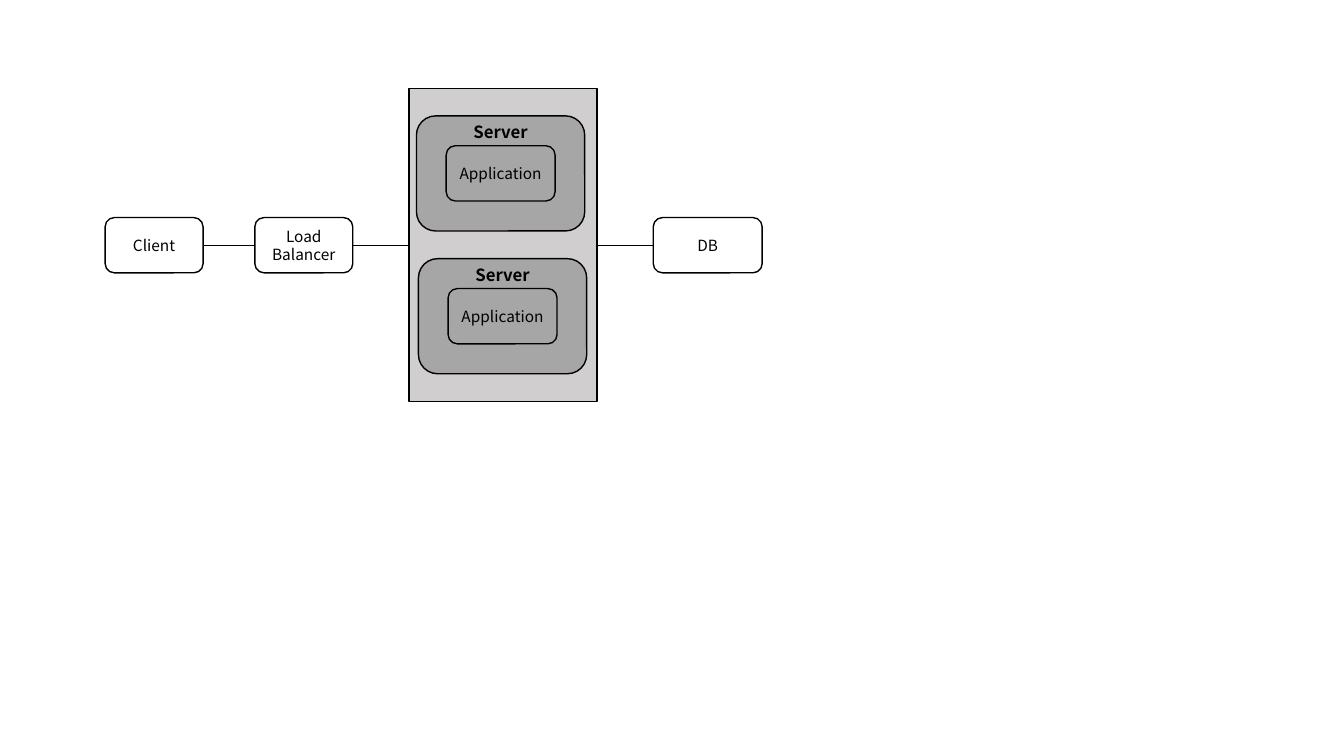
from pptx import Presentation
from pptx.dml.color import RGBColor
from pptx.enum.shapes import MSO_CONNECTOR, MSO_SHAPE
from pptx.enum.text import MSO_ANCHOR, PP_ALIGN
from pptx.oxml import parse_xml
from pptx.oxml.ns import nsdecls
from pptx.util import Pt

BLACK, PANEL_GREY, SERVER_GREY = "000000", "D0CECE", "A6A6A6"
LABEL = {"name": "Noto Sans CJK KR", "size": Pt(11), "bold": False}
HEADING = {**LABEL, "size": Pt(12), "bold": True}

# Boxes in points: left, top, width, height
CLIENT = (75.1, 155.4, 70, 39.5)
BALANCER = (182, 155.4, 70, 39.5)
PANEL = (292.2, 63.3, 134.4, 223.4)
DATABASE = (466.6, 155.4, 77.8, 39.5)


def color(value):
    return RGBColor.from_string(value)


def add_box(page, box, kind=MSO_SHAPE.ROUNDED_RECTANGLE, fill=None):
    shape = page.shapes.add_shape(kind, *(Pt(length) for length in box))
    shape.shadow.inherit = False
    if fill:
        shape.fill.solid()
        shape.fill.fore_color.rgb = color(fill)
    else:
        shape.fill.background()
    shape.line.color.rgb = color(BLACK)
    shape.line.width = Pt(1)
    return shape


def write(shape, text, style=LABEL, anchor=MSO_ANCHOR.MIDDLE):
    frame = shape.text_frame
    settings = {"word_wrap": True, "vertical_anchor": anchor,
                "margin_left": Pt(4), "margin_right": Pt(4),
                "margin_top": 0, "margin_bottom": 0}
    for name, value in settings.items():
        setattr(frame, name, value)
    para = frame.paragraphs[0]
    para.alignment = PP_ALIGN.CENTER
    span = para.add_run()
    span.text = text
    for name, value in style.items():
        setattr(span.font, name, value)
    span.font.color.rgb = color(BLACK)


def add_server(page, box):
    left, top, width, height = box
    write(add_box(page, box, fill=SERVER_GREY), "Server", HEADING, MSO_ANCHOR.TOP)
    application = (left + (width - 77.8) / 2, top + 21.3, 77.8, 39.5)
    write(add_box(page, application), "Application")


def add_server_panel(page, box):
    left, top, width, height = box
    add_box(page, box, MSO_SHAPE.RECTANGLE, PANEL_GREY)
    for inset, drop in ((5.3, 19.5), (6.7, 121.5)):
        add_server(page, (left + inset, top + drop, 120.2, 82.2))


def link(page, start, end):
    """Join the right edge of one box to the left edge of the next."""
    middle = Pt(CLIENT[1] + CLIENT[3] / 2)
    line = page.shapes.add_connector(
        MSO_CONNECTOR.STRAIGHT, Pt(start[0] + start[2]), middle, Pt(end[0]), middle)
    line.line.color.rgb = color(BLACK)
    line.line.width = Pt(0.5)
    line._element.spPr.append(parse_xml(f"<a:effectLst {nsdecls('a')}/>"))


def build_architecture(page):
    # Server panel
    add_server_panel(page, PANEL)

    # Single nodes
    for text, box in (("Client", CLIENT), ("Load Balancer", BALANCER), ("DB", DATABASE)):
        write(add_box(page, box), text)

    # Links from left to right
    chain = (CLIENT, BALANCER, PANEL, DATABASE)
    for start, end in zip(chain, chain[1:]):
        link(page, start, end)


def main():
    deck = Presentation()
    deck.slide_width, deck.slide_height = Pt(960), Pt(540)
    page = deck.slides.add_slide(deck.slide_layouts[6])
    build_architecture(page)
    deck.save("out.pptx")


if __name__ == "__main__":
    main()
